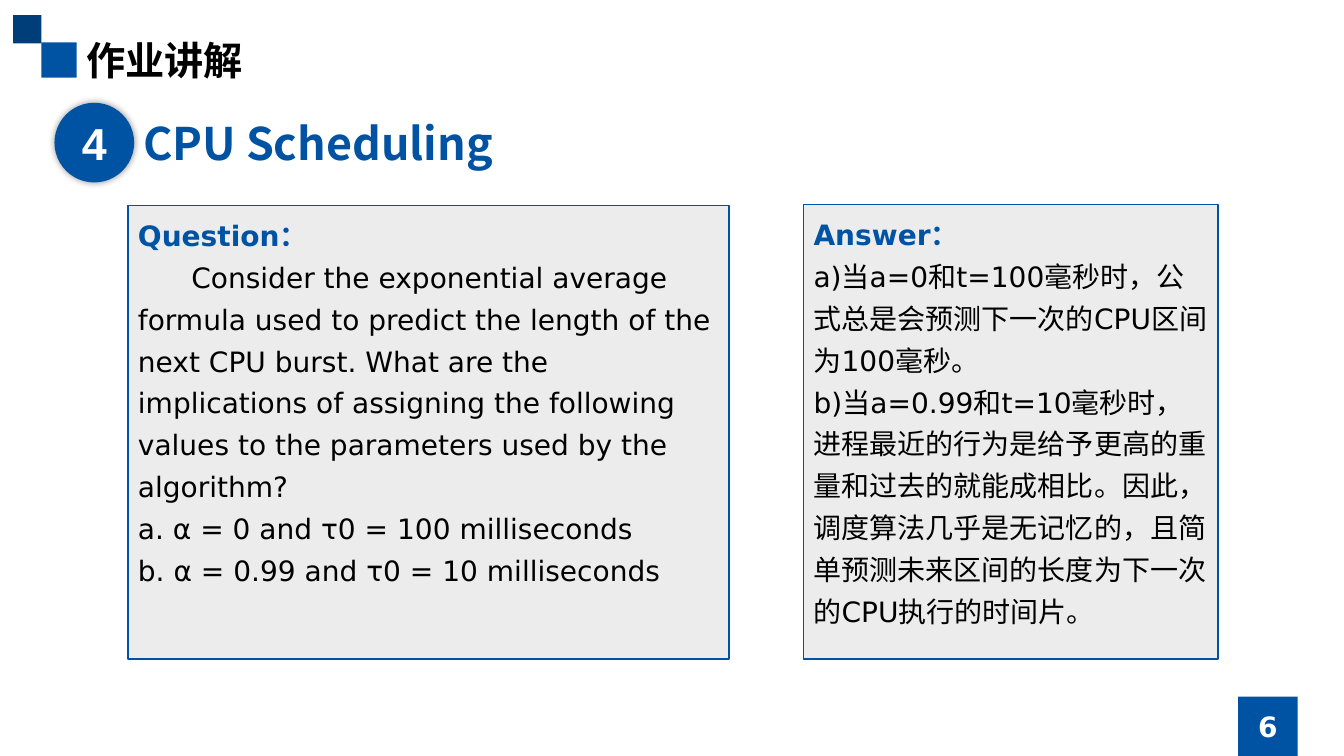
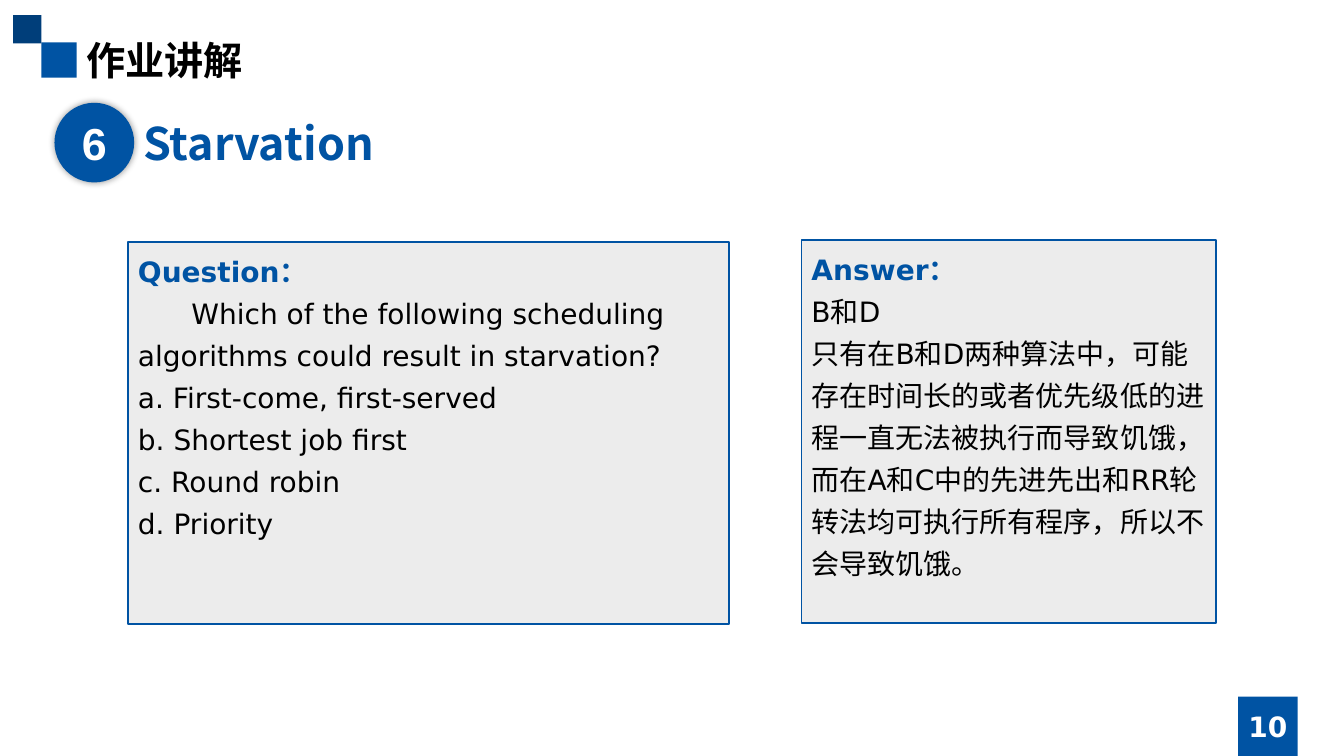
from dataclasses import dataclass

from lxml.etree import SubElement
from pptx import Presentation
from pptx.dml.color import RGBColor
from pptx.enum.shapes import MSO_SHAPE as Preset
from pptx.enum.text import MSO_ANCHOR as Anchor, PP_ALIGN as Align
from pptx.oxml.ns import qn
from pptx.shapes.autoshape import Shape
from pptx.slide import Slide
from pptx.util import Inches, Pt

BLUE, NAVY, GREY = "0053A3", "003E7A", "ECECEC"
BLACK, WHITE = "000000", "FFFFFF"
BODY_FONT, HEADING_FONT, BADGE_FONT = "DejaVu Sans", "Noto Sans CJK SC", "Arial"
FIRST_LINE_INDENT = 0.53


@dataclass(frozen=True)
class Box:
    left: float
    top: float
    width: float
    height: float

    def lengths(self) -> list[Inches]:
        return [Inches(n) for n in (self.left, self.top, self.width, self.height)]


@dataclass(frozen=True)
class TextStyle:
    size: int
    font: str
    colour: str
    bold: bool = True
    align: Align = Align.LEFT
    line_spacing: float = 1.0


@dataclass(frozen=True)
class Panel:
    box: Box
    heading: str
    lines: tuple[str, ...]
    indent: float = 0


@dataclass(frozen=True)
class Exercise:
    number: int
    page: int
    topic: str
    question: Panel
    answer: Panel


TITLE = TextStyle(28, HEADING_FONT, BLACK)
TOPIC = TextStyle(32, HEADING_FONT, BLUE)
BADGE = TextStyle(32, BADGE_FONT, WHITE, align=Align.CENTER)
PAGE = TextStyle(20, BODY_FONT, WHITE, align=Align.CENTER)
PANEL_HEADING = TextStyle(20, BODY_FONT, BLUE, line_spacing=1.25)
PANEL_BODY = TextStyle(20, BODY_FONT, BLACK, bold=False, line_spacing=1.25)

EXERCISES = (
    Exercise(
        4, 6, "CPU Scheduling",
        Panel(Box(1.27, 2.04, 5.96, 4.5), "Question：", (
            "Consider the exponential average formula used to predict the length of "
            "the next CPU burst. What are the implications of assigning the following "
            "values to the parameters used by the algorithm?",
            "a. α = 0 and τ0 = 100 milliseconds",
            "b. α = 0.99 and τ0 = 10 milliseconds",
        ), FIRST_LINE_INDENT),
        Panel(Box(7.97, 2.03, 4.11, 4.51), "Answer：", (
            "a)当a=0和t=100毫秒时，公式总是会预测下一次的CPU区间为100毫秒。",
            "b)当a=0.99和t=10毫秒时，进程最近的行为是给予更高的重量和过去的就能成相比。"
            "因此，调度算法几乎是无记忆的，且简单预测未来区间的长度为下一次的CPU执行的时间片。",
        )),
    ),
    Exercise(
        6, 10, "Starvation",
        Panel(Box(1.27, 2.4, 5.96, 3.79), "Question：", (
            "Which of the following scheduling algorithms could result in starvation?",
            "a. First-come, first-served",
            "b. Shortest job first",
            "c. Round robin",
            "d. Priority",
        ), FIRST_LINE_INDENT),
        Panel(Box(7.95, 2.38, 4.11, 3.8), "Answer：", (
            "B和D",
            "只有在B和D两种算法中，可能存在时间长的或者优先级低的进程一直无法被执行而导致饥饿，"
            "而在A和C中的先进先出和RR轮转法均可执行所有程序，所以不会导致饥饿。",
        )),
    ),
)


def rgb(colour: str) -> RGBColor:
    return RGBColor.from_string(colour)


def add_filled(slide: Slide, preset: Preset, box: Box, fill: str,
               outline: str | None = None) -> Shape:
    shape = slide.shapes.add_shape(preset, *box.lengths())
    shape.shadow.inherit = False
    shape.fill.solid()
    shape.fill.fore_color.rgb = rgb(fill)
    if outline:
        shape.line.color.rgb = rgb(outline)
        shape.line.width = Pt(1)
    else:
        shape.line.fill.background()
    return shape


def add_soft_shadow(shape: Shape) -> None:
    effects = shape._element.spPr.find(qn("a:effectLst"))
    shadow = SubElement(effects, qn("a:outerShdw"), blurRad=str(Pt(5)), dist="0", dir="0")
    colour = SubElement(shadow, qn("a:srgbClr"), val=BLACK)
    SubElement(colour, qn("a:alpha"), val="40000")


def write(shape: Shape, lines: list[tuple[str, TextStyle]], anchor: Anchor = Anchor.TOP,
          side_margin: float = 0.1, top_margin: float = 0.05) -> None:
    frame = shape.text_frame
    frame.word_wrap = True
    frame.vertical_anchor = anchor
    frame.margin_left = frame.margin_right = Inches(side_margin)
    frame.margin_top = Inches(top_margin)
    for index, (text, style) in enumerate(lines):
        paragraph = frame.add_paragraph() if index else frame.paragraphs[0]
        paragraph.text = text
        paragraph.alignment = style.align
        paragraph.line_spacing = style.line_spacing
        # Punctuation wraps with its word instead of hanging in the margin.
        paragraph._p.get_or_add_pPr().set("hangingPunct", "0")
        font = paragraph.font
        font.size, font.name, font.bold = Pt(style.size), style.font, style.bold
        font.color.rgb = rgb(style.colour)
        # Chinese characters take the East Asian typeface.
        SubElement(font._element, qn("a:ea"), typeface=HEADING_FONT)


def add_text(slide: Slide, box: Box, text: str, style: TextStyle) -> None:
    write(slide.shapes.add_textbox(*box.lengths()), [(text, style)])


def add_frame(slide: Slide, page: int) -> None:
    """Draw what every slide shares: corner squares, title and page number."""
    add_filled(slide, Preset.RECTANGLE, Box(0.41, 0.42, 0.35, 0.35), BLUE)
    add_filled(slide, Preset.RECTANGLE, Box(0.13, 0.15, 0.28, 0.28), NAVY)
    add_text(slide, Box(0.76, 0.31, 5.91, 0.57), "作业讲解", TITLE)
    page_square = add_filled(slide, Preset.RECTANGLE, Box(12.28, 6.91, 0.59, 0.59), BLUE)
    write(page_square, [(str(page), PAGE)], Anchor.MIDDLE, side_margin=0)


def add_topic(slide: Slide, number: int, topic: str) -> None:
    badge = add_filled(slide, Preset.OVAL, Box(0.54, 1.02, 0.79, 0.79), BLUE)
    add_soft_shadow(badge)
    write(badge, [(str(number), BADGE)], Anchor.MIDDLE)
    add_text(slide, Box(1.32, 1.1, 5.91, 0.64), topic, TOPIC)


def add_panel(slide: Slide, panel: Panel) -> None:
    shape = add_filled(slide, Preset.RECTANGLE, panel.box, GREY, outline=BLUE)
    body = [(line, PANEL_BODY) for line in panel.lines]
    write(shape, [(panel.heading, PANEL_HEADING), *body], top_margin=0.04)
    if panel.indent:
        first_line = shape.text_frame.paragraphs[1]
        first_line._p.get_or_add_pPr().set("indent", str(Inches(panel.indent)))


def main() -> None:
    presentation = Presentation()
    presentation.slide_width, presentation.slide_height = Inches(13.33), Inches(7.5)
    blank_layout = presentation.slide_layouts[6]
    for exercise in EXERCISES:
        slide = presentation.slides.add_slide(blank_layout)
        add_frame(slide, exercise.page)
        add_topic(slide, exercise.number, exercise.topic)
        for panel in (exercise.question, exercise.answer):
            add_panel(slide, panel)
    presentation.save("out.pptx")


if __name__ == "__main__":
    main()
